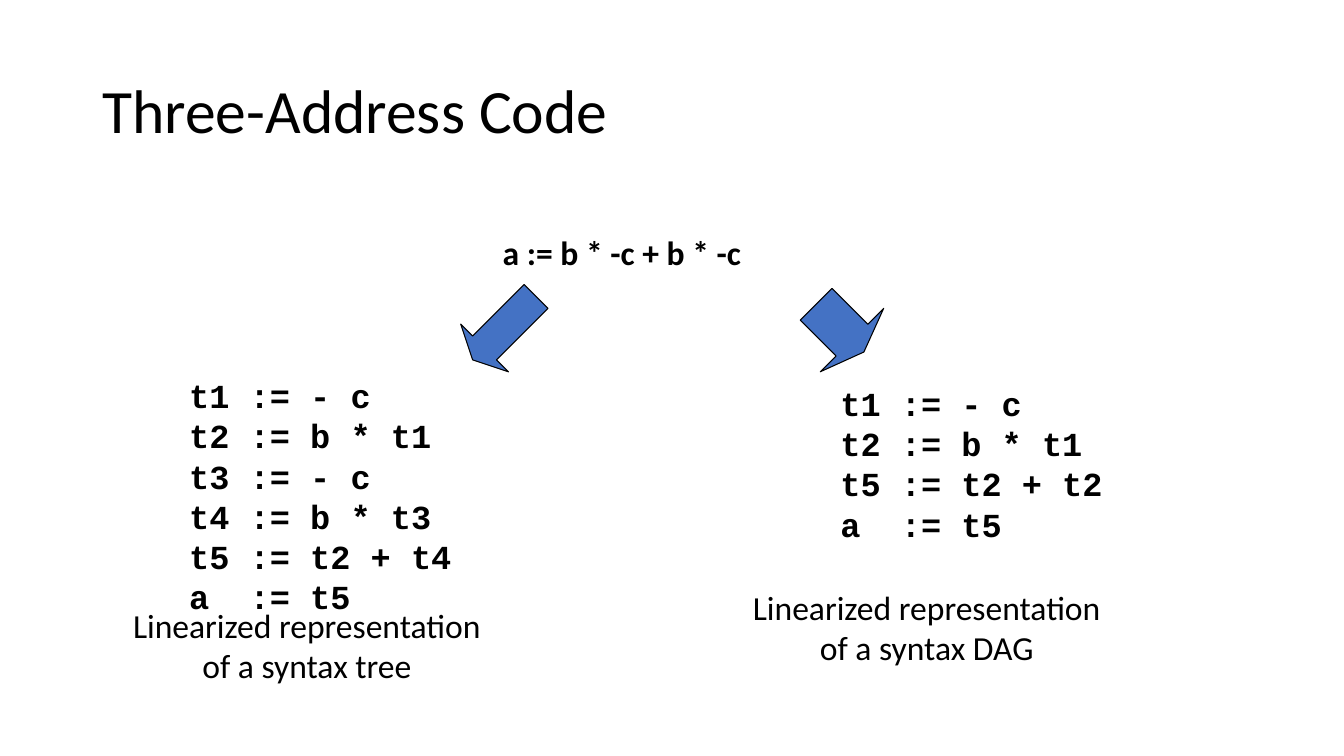
from pptx import Presentation
from pptx import util as u
from pptx.dml import color
from pptx.enum import shapes, text

HUES = {"ink": "000000", "arrow": "4472C4", "page": "FFFFFF"}
SANS, MONO = "Calibri", "Courier New"

TREE = """t1 := - c
t2 := b * t1
t3 := - c
t4 := b * t3
t5 := t2 + t4
a  := t5"""
DAG = """t1 := - c
t2 := b * t1
t5 := t2 + t2
a  := t5"""


def hue(name):
    return color.RGBColor.from_string(HUES[name])


def label(slide, box, words, face=SANS, size=24, bold=False, mid=False):
    frame = slide.shapes.add_textbox(*map(u.Cm, box)).text_frame
    frame.word_wrap = False
    para = frame.paragraphs[0]
    para.text = words.replace("\n", "\v")
    para.alignment = text.PP_ALIGN.CENTER if mid else text.PP_ALIGN.LEFT
    for run in para.runs:
        run.font.name = face
        run.font.size = u.Pt(size)
        run.font.bold = bold
        run.font.color.rgb = hue("ink")
    return frame


def title(slide, box, words):
    frame = label(slide, box, words, size=44)
    frame.word_wrap = True
    frame.vertical_anchor = text.MSO_ANCHOR.MIDDLE
    frame.paragraphs[0].line_spacing = 0.9


def arrow(slide, box, turn):
    shape = slide.shapes.add_shape(
        shapes.MSO_SHAPE.RIGHT_ARROW, *map(u.Cm, box))
    shape.adjustments[0] = 0.5
    shape.adjustments[1] = 0.25
    shape.rotation = turn
    shape.shadow.inherit = False
    shape.fill.solid()
    shape.fill.fore_color.rgb = hue("arrow")
    shape.line.color.rgb = hue("ink")
    shape.line.width = u.Pt(0.75)


def branch(slide, box, code, indent, drop, note):
    left, top, width, height = box
    deep = 2.31
    tall = 0.25 + 1.025 * len(code.splitlines())
    label(slide, (left + indent, top + drop, 7.16, tall), code, MONO, bold=True)
    label(slide, (left, top + height - deep, width, deep), note, mid=True)


def main():
    deck = Presentation()
    deck.slide_width, deck.slide_height = u.Cm(33.87), u.Cm(19.05)
    slide = deck.slides.add_slide(deck.slide_layouts[6])
    slide.background.fill.solid()
    slide.background.fill.fore_color.rgb = hue("page")

    title(slide, (2.33, 1.01, 29.21, 3.68), "Three-Address Code")
    label(slide, (12.42, 5.72, 6.58, 1.27), "a := b * -c + b * -c", bold=True)
    arrow(slide, (11.58, 7.42, 2.26, 1.7), 135)
    arrow(slide, (20.32, 7.14, 1.7, 2.26), 45)
    branch(slide, (3.05, 9.32, 9.37, 8.1), TREE, 1.47, 0,
           "Linearized representation\nof a syntax tree")
    branch(slide, (18.67, 9.32, 9.37, 7.65), DAG, 2.26, 0.2,
           "Linearized representation\nof a syntax DAG")
    deck.save("out.pptx")


if __name__ == "__main__":
    main()
